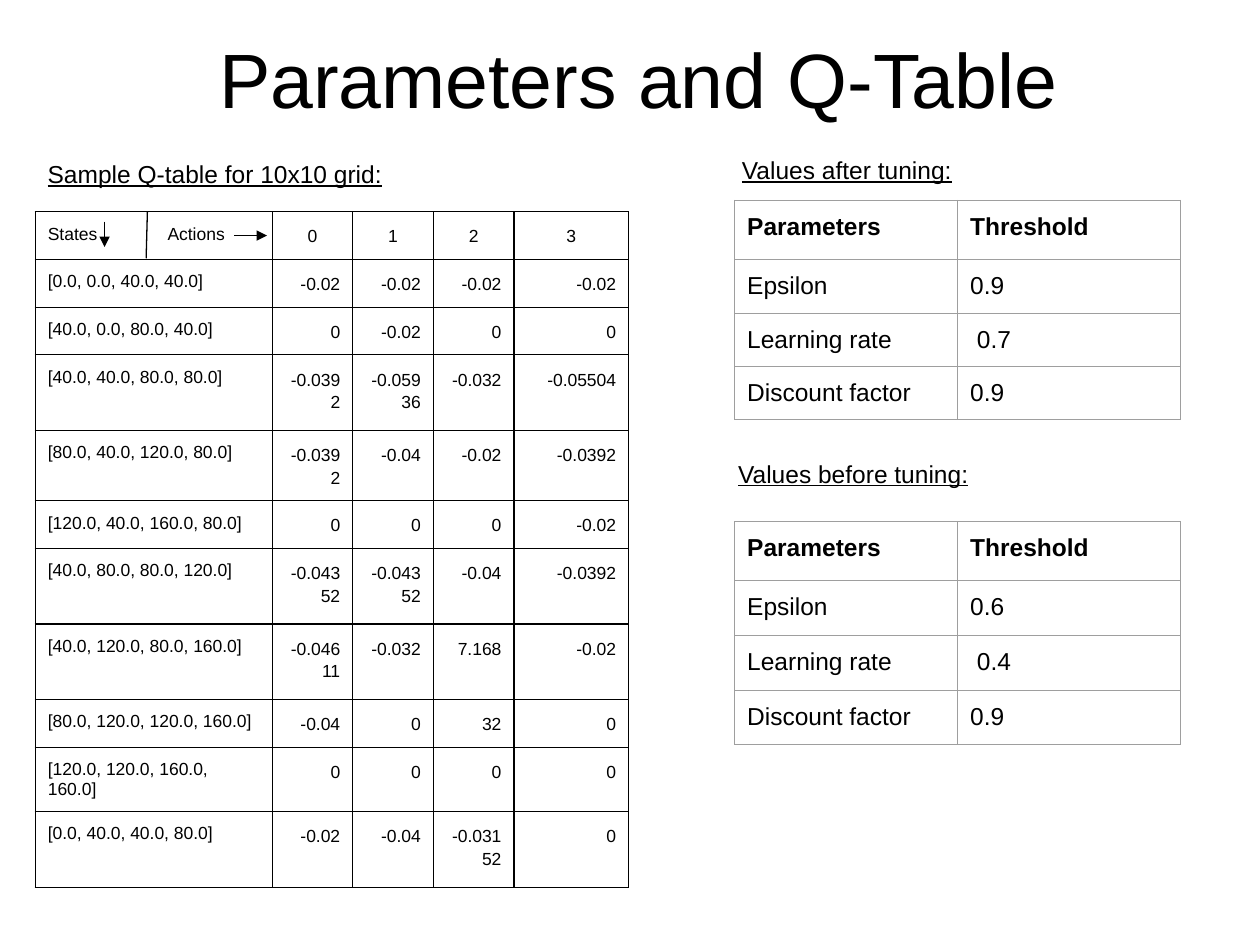
from lxml import etree
from pptx import Presentation
from pptx import util as u
from pptx.dml.color import RGBColor
from pptx.enum import shapes, text
from pptx.oxml import ns

COLORS = {"ink": "000000", "rule": "9E9E9E"}
ALIGN = text.PP_ALIGN

Q_HEADER = ["States\tActions", "0", "1", "2", "3"]
Q_ROWS = [
    ["[0.0, 0.0, 40.0, 40.0]", "-0.02", "-0.02", "-0.02", "-0.02"],
    ["[40.0, 0.0, 80.0, 40.0]", "0", "-0.02", "0", "0"],
    ["[40.0, 40.0, 80.0, 80.0]", "-0.0392", "-0.05936", "-0.032", "-0.05504"],
    ["[80.0, 40.0, 120.0, 80.0]", "-0.0392", "-0.04", "-0.02", "-0.0392"],
    ["[120.0, 40.0, 160.0, 80.0]", "0", "0", "0", "-0.02"],
    ["[40.0, 80.0, 80.0, 120.0]", "-0.04352", "-0.04352", "-0.04", "-0.0392"],
    ["[40.0, 120.0, 80.0, 160.0]", "-0.04611", "-0.032", "7.168", "-0.02"],
    ["[80.0, 120.0, 120.0, 160.0]", "-0.04", "0", "32", "0"],
    ["[120.0, 120.0, 160.0, 160.0]", "0", "0", "0", "0"],
    ["[0.0, 40.0, 40.0, 80.0]", "-0.02", "-0.04", "-0.03152", "0"],
]
Q_HEIGHTS = [3.1, 3.1, 3.1, 6, 3.9, 3.1, 6, 6, 3.1, 3.1, 6]


def units(*values):
    """Turn positions on the 100 x 75 slide grid into lengths."""
    return [u.Inches(v / 10) for v in values]


def sub(parent, tag, **attrs):
    return etree.SubElement(parent, ns.qn(tag), **attrs)


class Deck:
    font = "Arial"
    line_width = u.Pt(0.75)

    def __init__(self):
        self.prs = Presentation()
        self.prs.slide_width, self.prs.slide_height = units(100, 75)
        self.s = self.prs.slides.add_slide(self.prs.slide_layouts[5])

    def style(self, p, size, bold=False, underline=False):
        for r in p.runs:
            r.font.name = self.font
            r.font.size = u.Pt(size)
            r.font.bold = bold
            r.font.underline = underline
            r.font.color.rgb = RGBColor.from_string(COLORS["ink"])

    def title(self, content, *box):
        sp = self.s.shapes.title
        sp.left, sp.top, sp.width, sp.height = units(*box)
        tf = sp.text_frame
        tf.text = content
        tf.vertical_anchor = text.MSO_ANCHOR.BOTTOM
        tf.auto_size = text.MSO_AUTO_SIZE.NONE
        tf.paragraphs[0].alignment = ALIGN.CENTER
        self.style(tf.paragraphs[0], 44)

    def heading(self, content, *box, inset=0.5):
        tf = self.s.shapes.add_textbox(*units(*box)).text_frame
        tf.word_wrap = True
        tf.margin_left, tf.margin_right = units(1, 1)
        tf.margin_top, tf.margin_bottom = units(inset, inset)
        tf.text = content
        self.style(tf.paragraphs[0], 14, underline=True)

    def borders(self, cell, color):
        cell.fill.background()
        tc_pr = cell._tc.get_or_add_tcPr()
        for i, side in enumerate("LRTB"):
            ln = etree.Element(ns.qn(f"a:ln{side}"), w=str(self.line_width))
            sub(sub(ln, "a:solidFill"), "a:srgbClr", val=COLORS[color])
            tc_pr.insert(i, ln)

    def table(self, rows, box, widths, heights, size, color, bold_header=False):
        """Draw a bordered table and return it for further formatting."""
        frame = self.s.shapes.add_table(len(rows), len(widths), *units(*box))
        table = frame.table
        table.first_row = table.horz_banding = False
        for column, width in zip(table.columns, units(*widths)):
            column.width = width
        for row, height in zip(table.rows, units(*heights)):
            row.height = height
        for i, values in enumerate(rows):
            for j, value in enumerate(values):
                cell = table.cell(i, j)
                cell.margin_left = cell.margin_right = u.Inches(0.1)
                cell.margin_top = cell.margin_bottom = u.Inches(0.1)
                cell.text = value
                self.style(cell.text_frame.paragraphs[0], size,
                           bold=bold_header and i == 0)
                self.borders(cell, color)
        return table

    def q_table(self):
        table = self.table([Q_HEADER] + Q_ROWS, (2.8, 16.8, 47.2, 58.5),
                           [18.8, 6.4, 6.4, 6.4, 9.1], Q_HEIGHTS, 10, "ink")
        for i in range(len(Q_ROWS) + 1):
            for j in range(1, len(Q_HEADER)):
                p = table.cell(i, j).text_frame.paragraphs[0]
                p.alignment = ALIGN.RIGHT if i else ALIGN.CENTER
                p.line_spacing = 1.15
        p = table.cell(0, 0).text_frame.paragraphs[0]
        tabs = sub(p._p.get_or_add_pPr(), "a:tabLst")
        sub(tabs, "a:tab", pos=str(u.Inches(0.95)), algn="l")

    def parameters(self, top, epsilon, rate, discount):
        rows = [["Parameters", "Threshold"], ["Epsilon", epsilon],
                ["Learning rate", rate], ["Discount factor", discount]]
        self.table(rows, (58.3, top, 35.4, 17.7), [17.7, 17.7],
                   [4.7, 4.3, 4.2, 4.2], 14, "rule", bold_header=True)

    def line(self, *ends, arrow=False):
        c = self.s.shapes.add_connector(shapes.MSO_CONNECTOR.STRAIGHT, *units(*ends))
        c.line.color.rgb = RGBColor.from_string(COLORS["ink"])
        c.line.width = self.line_width
        if arrow:
            sub(c.line._get_or_add_ln(), "a:tailEnd", type="triangle")
        sub(c._element.spPr, "a:effectLst")


def main():
    deck = Deck()
    deck.title("Parameters and Q-Table", 10.2, 1.9, 81, 8.4)
    deck.parameters(15.9, "0.9", " 0.7", "0.9")
    deck.q_table()
    deck.line(11.7, 16.8, 11.6, 20.5)
    deck.line(8.3, 17.6, 8.3, 19.6, arrow=True)
    deck.line(18.6, 18.7, 21.2, 18.7, arrow=True)
    deck.heading("Sample Q-table for 10x10 grid:", 2.8, 11.6, 29.3, 3.8, inset=1)
    deck.parameters(41.4, "0.6", " 0.4", "0.9")
    deck.heading("Values before tuning:", 57.6, 35.9, 20.3, 3.4)
    deck.heading("Values after tuning:", 57.9, 11.8, 20.1, 3.4)
    deck.prs.save("out.pptx")


if __name__ == "__main__":
    main()
